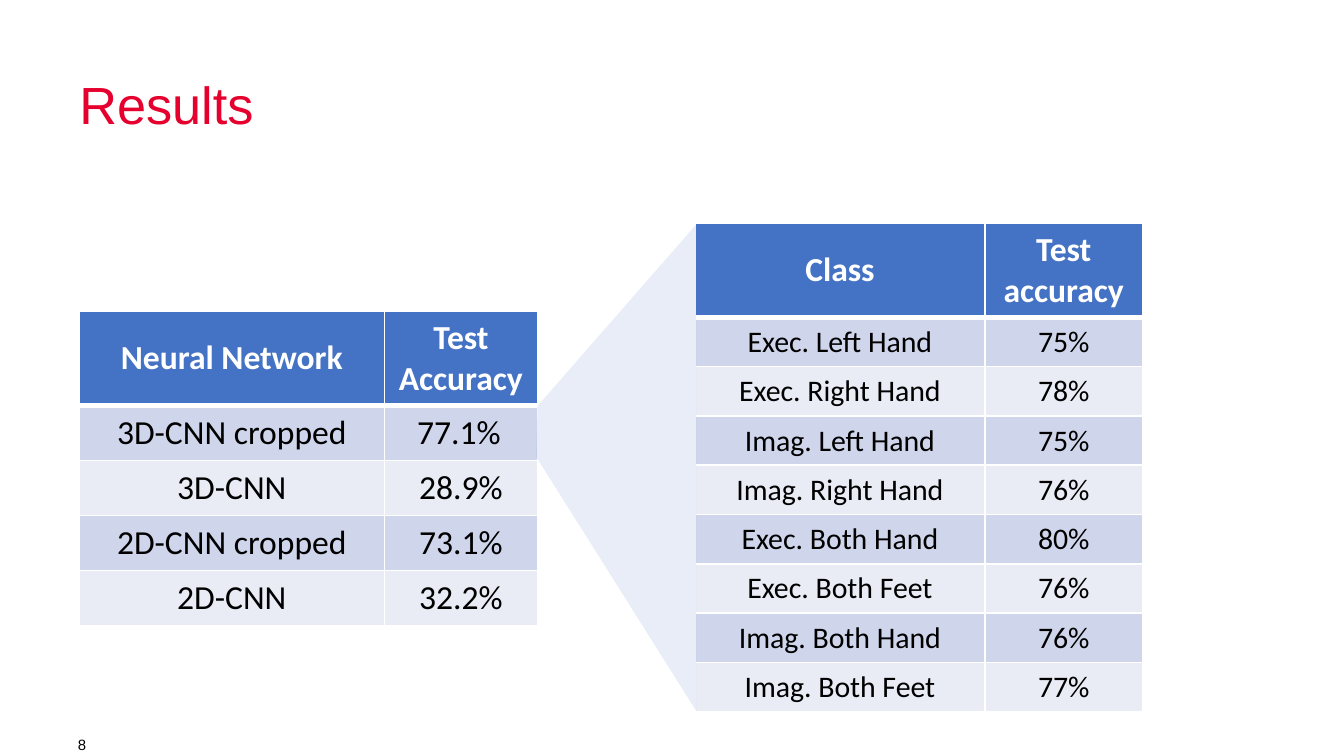
from dataclasses import dataclass

from lxml import etree
from pptx import Presentation
from pptx import util as u
from pptx.dml.color import RGBColor
from pptx.enum import text
from pptx.oxml import ns

# Grid: 100 columns across a 16:9 slide, with square cells
WIDE = u.Inches(10)
HIGH = WIDE * 9 // 16
CELL = WIDE / 100

HUES = {"red": "E6002E", "blue": "4472C4", "dark": "CFD5EA",
        "pale": "E9EBF5", "white": "FFFFFF", "black": "000000"}


@dataclass
class Label:
    words: str
    box: tuple[float, float, float, float]
    size: int
    font: str
    hue: str
    lead: int | None = None
    align: text.PP_ALIGN = text.PP_ALIGN.LEFT
    anchor: text.MSO_ANCHOR = text.MSO_ANCHOR.TOP


@dataclass
class Table:
    box: tuple[float, float, float, float]
    cols: tuple[float, float]
    head: float  # height of the header row
    step: float  # height of each body row
    size: int
    rows: list[tuple[str, str]]


def grid(n: float) -> int:
    return round(n * CELL)


def color(name: str) -> RGBColor:
    return RGBColor.from_string(HUES[name])


def write(para, words: str, size: int, font: str, hue: str, bold: bool = False) -> None:
    run = para.add_run()
    run.text = words
    run.font.size, run.font.name, run.font.bold = u.Pt(size), font, bold
    run.font.color.rgb = color(hue)


def draw_label(slide, label: Label) -> None:
    frame = slide.shapes.add_textbox(*map(grid, label.box)).text_frame
    frame.margin_left = frame.margin_right = 0
    frame.margin_top = frame.margin_bottom = 0
    frame.word_wrap = True
    frame.vertical_anchor = label.anchor
    para = frame.paragraphs[0]
    para.alignment = label.align
    if label.lead:
        para.line_spacing = u.Pt(label.lead)
    write(para, label.words, label.size, label.font, label.hue)


def edge(cell, side: str, width: float) -> None:
    props = cell._tc.get_or_add_tcPr()
    line = etree.SubElement(props, ns.qn(f"a:ln{side}"), w=str(u.Pt(width)))
    fill = etree.SubElement(line, ns.qn("a:solidFill"))
    etree.SubElement(fill, ns.qn("a:srgbClr"), val=HUES["white"])


def draw_table(slide, table: Table) -> None:
    frame = slide.shapes.add_table(len(table.rows), 2, *map(grid, table.box))
    body = frame.table
    for col, width in zip(body.columns, table.cols):
        col.width = grid(width)
    for r, row in enumerate(table.rows):
        top = r == 0
        body.rows[r].height = grid(table.head if top else table.step)
        for c, words in enumerate(row):
            cell = body.cell(r, c)
            for side in "LRTB":
                thick = (r, side) in ((0, "B"), (1, "T"))
                edge(cell, side, 3 if thick else 1)
            cell.fill.solid()
            cell.fill.fore_color.rgb = color(
                "blue" if top else "dark" if r % 2 else "pale")
            cell.vertical_anchor = text.MSO_ANCHOR.MIDDLE
            para = cell.text_frame.paragraphs[0]
            para.alignment = text.PP_ALIGN.CENTER
            if words:
                write(para, words, 18 if top else table.size, "Calibri",
                      "white" if top else "black", top)
    frame.height = grid(table.box[3])


def draw_beam(slide, spots: list[tuple[float, float]]) -> None:
    first, *rest = [(grid(x), grid(y)) for x, y in spots]
    path = slide.shapes.build_freeform(*first)
    path.add_line_segments(rest, close=True)
    beam = path.convert_to_shape()
    beam.shadow.inherit = False
    beam.line.fill.background()
    beam.fill.solid()
    beam.fill.fore_color.rgb = color("blue")
    tint = beam._element.spPr.find(".//" + ns.qn("a:srgbClr"))
    etree.SubElement(tint, ns.qn("a:alpha"), val="12000")


NETS = Table((5.9, 23.15, 34.1, 23.2), (22.7, 11.4), 4.1, 4.1, 18, [
    ("Neural Network", "Test Accuracy"),
    ("3D-CNN cropped", ""),  # its value is a label of its own
    ("3D-CNN", "28.9%"),
    ("2D-CNN cropped", "73.1%"),
    ("2D-CNN", "32.2%"),
])
TASKS = Table((51.7, 16.6, 33.3, 36.75), (21.6, 11.7), 4.8, 2.5, 16, [
    ("Class", "Test accuracy"),
    ("Exec. Left Hand", "75%"),
    ("Exec. Right Hand", "78%"),
    ("Imag. Left Hand", "75%"),
    ("Imag. Right Hand", "76%"),
    ("Exec. Both Hand", "80%"),
    ("Exec. Both Feet", "76%"),
    ("Imag. Both Hand", "76%"),
    ("Imag. Both Feet", "77%"),
])
PAGE = Label("8", (5.8, 54.55, 15.7, 1.7), 8, "Arial", "black",
             anchor=text.MSO_ANCHOR.MIDDLE)
TITLE = Label("Results", (5.9, 5.6, 76.8, 4.5), 28, "Arial", "red", lead=32)
SCORE = Label("77.1%", (30, 30.6, 8.3, 3.1), 18, "Calibri", "black",
              align=text.PP_ALIGN.CENTER)
BEAM = [(40, 30.2), (51.8, 16.7), (51.8, 52.9), (39.9, 34)]


def main() -> None:
    deck = Presentation()
    deck.slide_width, deck.slide_height = WIDE, HIGH
    slide = deck.slides.add_slide(deck.slide_layouts[6])

    # Page number and title
    draw_label(slide, PAGE)
    draw_label(slide, TITLE)

    # Networks, and the best one split by class
    draw_table(slide, NETS)
    draw_table(slide, TASKS)
    draw_beam(slide, BEAM)
    draw_label(slide, SCORE)

    deck.save("out.pptx")


if __name__ == "__main__":
    main()
